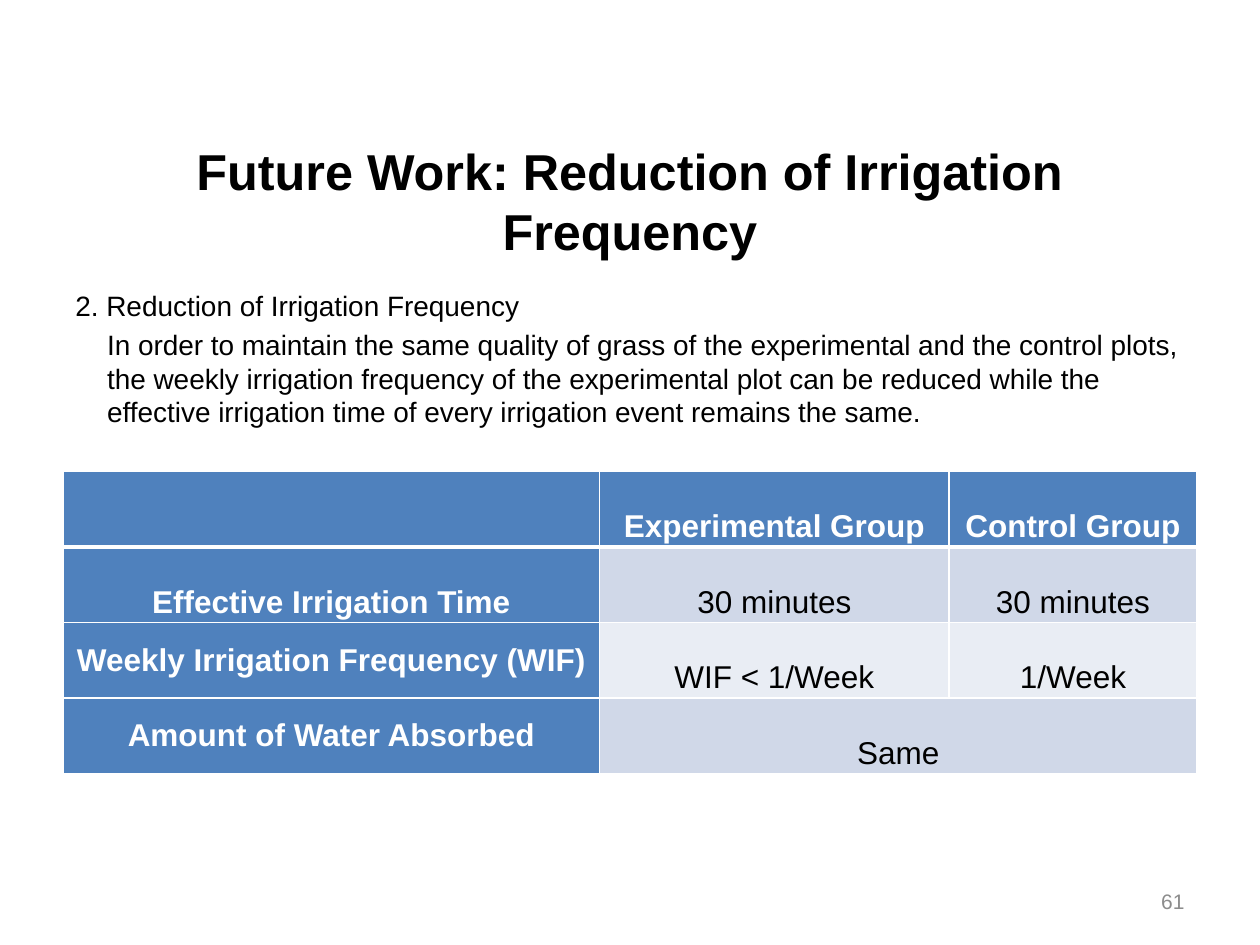
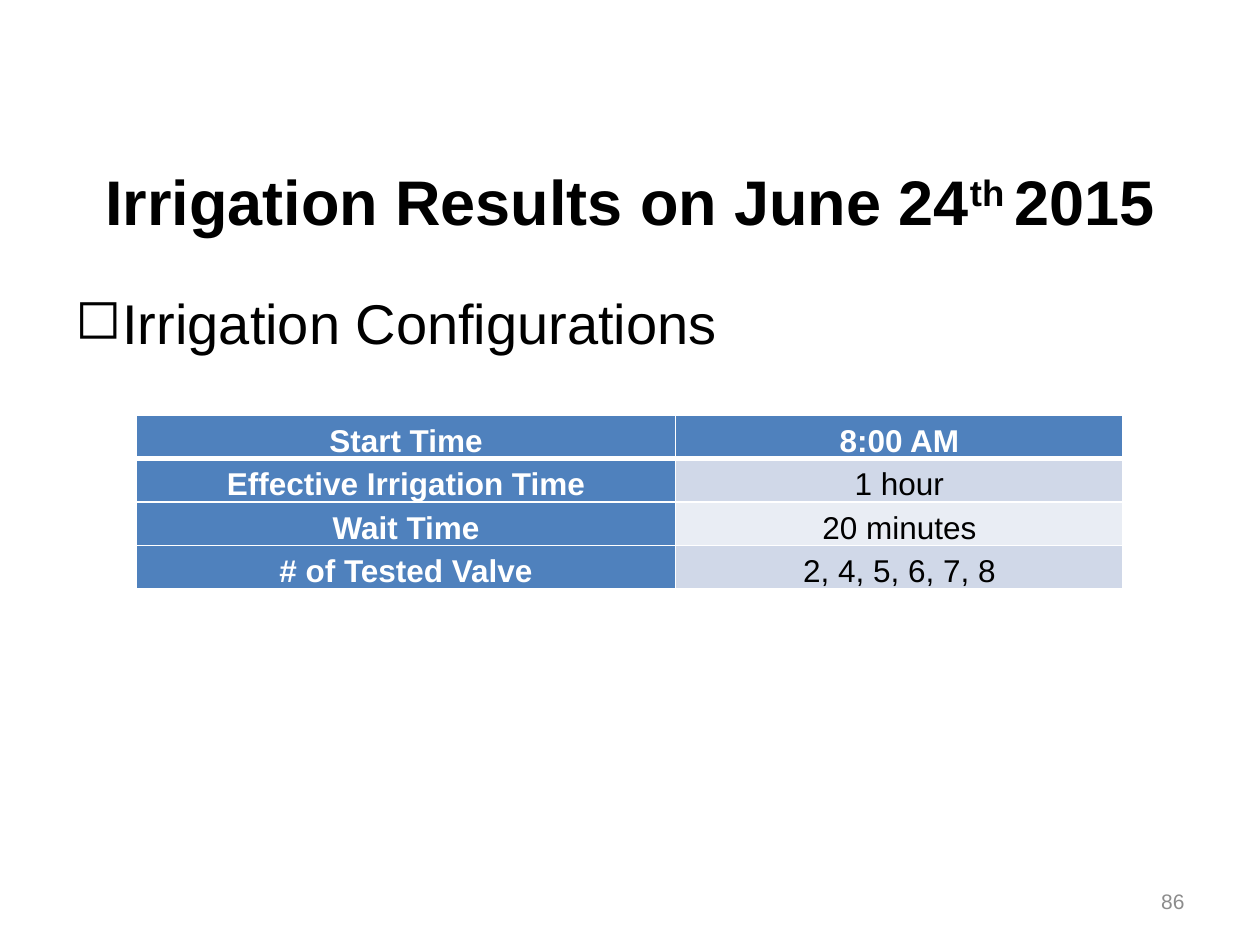
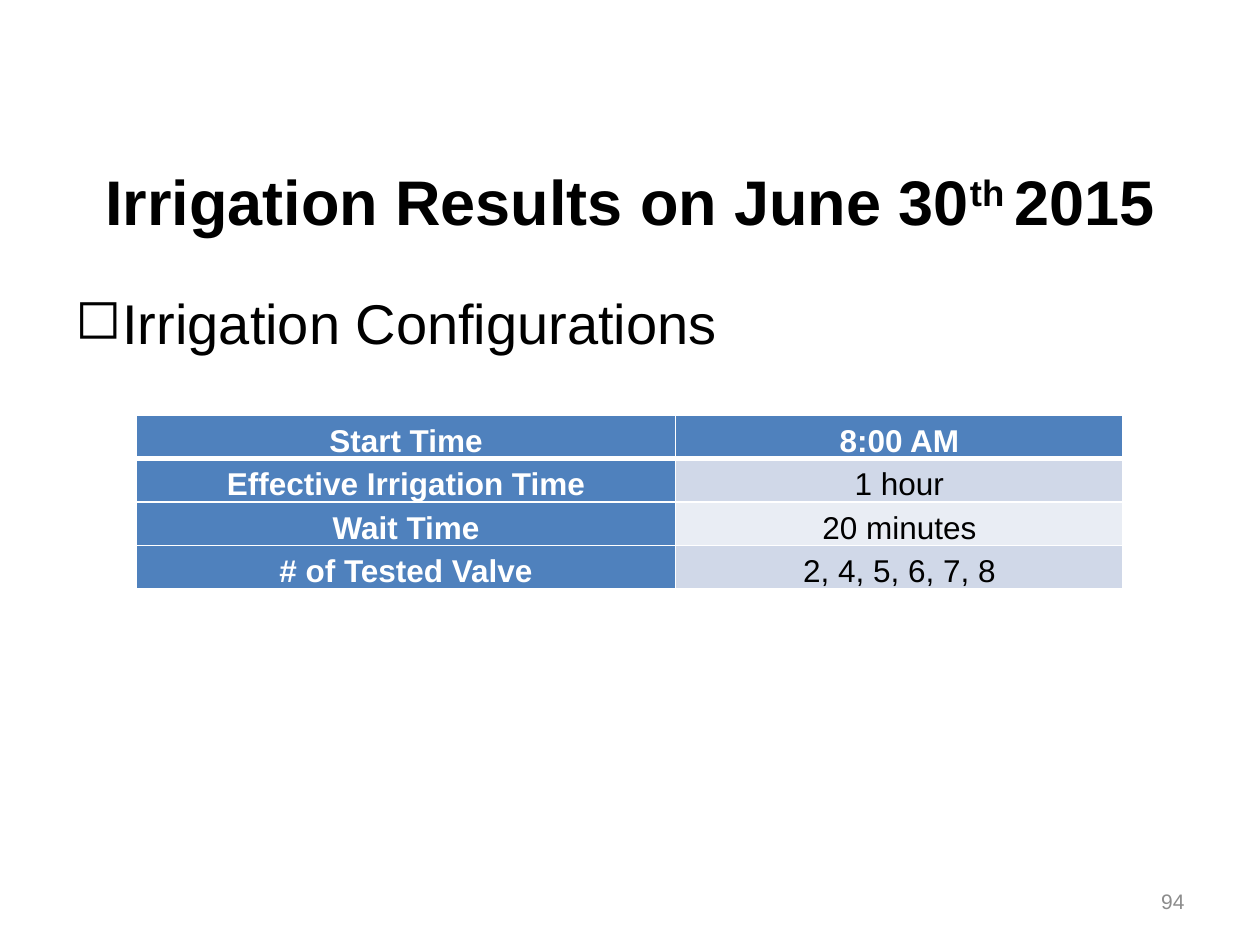
from lxml import etree
from pptx import Presentation
from pptx.dml.color import RGBColor
from pptx.enum.text import MSO_ANCHOR, PP_ALIGN
from pptx.oxml.ns import qn
from pptx.util import Cm, Pt

LEFT, CENTER, RIGHT = PP_ALIGN.LEFT, PP_ALIGN.CENTER, PP_ALIGN.RIGHT
TOP, MIDDLE, BOTTOM = MSO_ANCHOR.TOP, MSO_ANCHOR.MIDDLE, MSO_ANCHOR.BOTTOM

FONT = "Arial"
BLACK = RGBColor(0x00, 0x00, 0x00)
WHITE = RGBColor(0xFF, 0xFF, 0xFF)
GRAY = RGBColor(0x8C, 0x8C, 0x8C)
BLUE = RGBColor(0x4F, 0x81, 0xBD)
BANDS = (RGBColor(0xE9, 0xED, 0xF4), RGBColor(0xD0, 0xD8, 0xE8))

MARGIN = Cm(1.27)
CONTENT_W = Cm(22.86)
SUPERSCRIPT = "30000"

GROUP_ROWS = [
    ["", "Experimental Group", "Control Group"],
    ["Effective Irrigation Time", "30 minutes", "30 minutes"],
    ["Weekly Irrigation Frequency (WIF)", "WIF < 1/Week", "1/Week"],
    ["Amount of Water Absorbed", "Same", ""],
]
CONFIG_ROWS = [
    ["Start Time", "8:00 AM"],
    ["Effective Irrigation Time", "1 hour"],
    ["Wait Time", "20 minutes"],
    ["# of Tested Valve", "2, 4, 5, 6, 7, 8"],
]


def add_run(p, text, size, color=BLACK, bold=False):
    r = p.add_run()
    r.text = text
    font = r.font
    font.name, font.size, font.bold = FONT, Pt(size), bold
    font.color.rgb = color
    return r


def add_box(slide, left, top, width, height, anchor=TOP, align=LEFT):
    """Add a wrapping text box; return its text frame."""
    tf = slide.shapes.add_textbox(left, top, width, height).text_frame
    tf.word_wrap = True
    tf.vertical_anchor = anchor
    tf.paragraphs[0].alignment = align
    return tf


def add_title(slide):
    """Add the title box; return its paragraph."""
    tf = add_box(slide, MARGIN, Cm(2.92), CONTENT_W, Cm(2.24), MIDDLE, CENTER)
    return tf.paragraphs[0]


def add_body(slide):
    return add_box(slide, MARGIN, Cm(5.69), CONTENT_W, Cm(11.33))


def add_page_number(slide, number):
    tf = add_box(slide, Cm(18.21), Cm(17.65), Cm(5.92), Cm(1.02), MIDDLE, RIGHT)
    add_run(tf.paragraphs[0], str(number), 12, GRAY)


def set_indent(p, left, first=0, bullet=None):
    pPr = p._p.get_or_add_pPr()
    pPr.set("marL", str(int(left)))
    pPr.set("indent", str(int(first)))
    if bullet:
        etree.SubElement(pPr, qn("a:buChar")).set("char", bullet)


def set_borders(cell, top=1, bottom=1):
    """Draw white cell borders; widths in points."""
    tcPr = cell._tc.get_or_add_tcPr()
    sides = (("a:lnL", 1), ("a:lnR", 1), ("a:lnT", top), ("a:lnB", bottom))
    for tag, width in sides:
        ln = etree.SubElement(tcPr, qn(tag), w=str(int(Pt(width))))
        fill = etree.SubElement(ln, qn("a:solidFill"))
        etree.SubElement(fill, qn("a:srgbClr"), val=str(WHITE))


def add_grid(slide, rows, left, top, col_widths, row_height, anchor,
             spacing, space_after=0, single_spaced=()):
    """Add a table with blue header row and column, and banded values."""
    table = slide.shapes.add_table(
        len(rows), len(col_widths), left, top,
        sum(col_widths), row_height * len(rows)).table
    for column, width in zip(table.columns, col_widths):
        column.width = width
    for i, row in enumerate(rows):
        table.rows[i].height = row_height
        for j, text in enumerate(row):
            cell = table.cell(i, j)
            heading = i == 0 or j == 0
            set_borders(cell, 3 if i == 1 else 1, 3 if i == 0 else 1)
            cell.fill.solid()
            cell.fill.fore_color.rgb = BLUE if heading else BANDS[i % 2]
            cell.vertical_anchor = anchor
            cell.margin_left = cell.margin_right = Cm(0.18)
            cell.margin_top = cell.margin_bottom = 0
            if text:
                p = cell.text_frame.paragraphs[0]
                p.alignment = CENTER
                p.line_spacing = 1.0 if text in single_spaced else spacing
                p.space_after = Pt(space_after)
                add_run(p, text, 18, WHITE if heading else BLACK, heading)
    return table


def add_frequency_slide(slide):
    add_run(add_title(slide), "Future Work: Reduction of Irrigation Frequency",
            28.8, bold=True)
    tf = add_body(slide)
    add_run(tf.paragraphs[0], "2. Reduction of Irrigation Frequency", 16)
    p = tf.add_paragraph()
    set_indent(p, Cm(0.64))
    p.space_before = Pt(3.2)
    add_run(p, "In order to maintain the same quality of grass of the "
               "experimental and the control plots, the weekly irrigation "
               "frequency of the experimental plot can be reduced while the "
               "effective irrigation time of every irrigation event remains "
               "the same.", 16)
    table = add_grid(slide, GROUP_ROWS, MARGIN, Cm(9.5),
                     [Cm(10.82), Cm(7.04), Cm(5)], Cm(1.42), MIDDLE, 2.0,
                     single_spaced=[row[0] for row in GROUP_ROWS[2:]])
    table.cell(3, 1).merge(table.cell(3, 2))


def add_results_slide(slide, day):
    p = add_title(slide)
    add_run(p, f"Irrigation Results on June {day}", 36, bold=True)
    r = add_run(p, "th ", 36, bold=True)
    r._r.get_or_add_rPr().set("baseline", SUPERSCRIPT)
    add_run(p, "2015", 36, bold=True)
    p = add_body(slide).paragraphs[0]
    set_indent(p, Cm(0.95), -Cm(0.95), "◻")
    add_run(p, "Irrigation Configurations", 32)
    add_grid(slide, CONFIG_ROWS, Cm(2.75), Cm(8.37), [Cm(10.87), Cm(9.02)],
             Cm(0.81), BOTTOM, 1.15, space_after=10)


def main():
    prs = Presentation()
    prs.slide_width, prs.slide_height = Cm(25.4), Cm(19.05)
    blank = prs.slide_layouts[6]

    slide = prs.slides.add_slide(blank)
    add_frequency_slide(slide)
    add_page_number(slide, 61)
    for day, number in ((24, 86), (30, 94)):
        slide = prs.slides.add_slide(blank)
        add_results_slide(slide, day)
        add_page_number(slide, number)
    prs.save("out.pptx")


if __name__ == "__main__":
    main()
